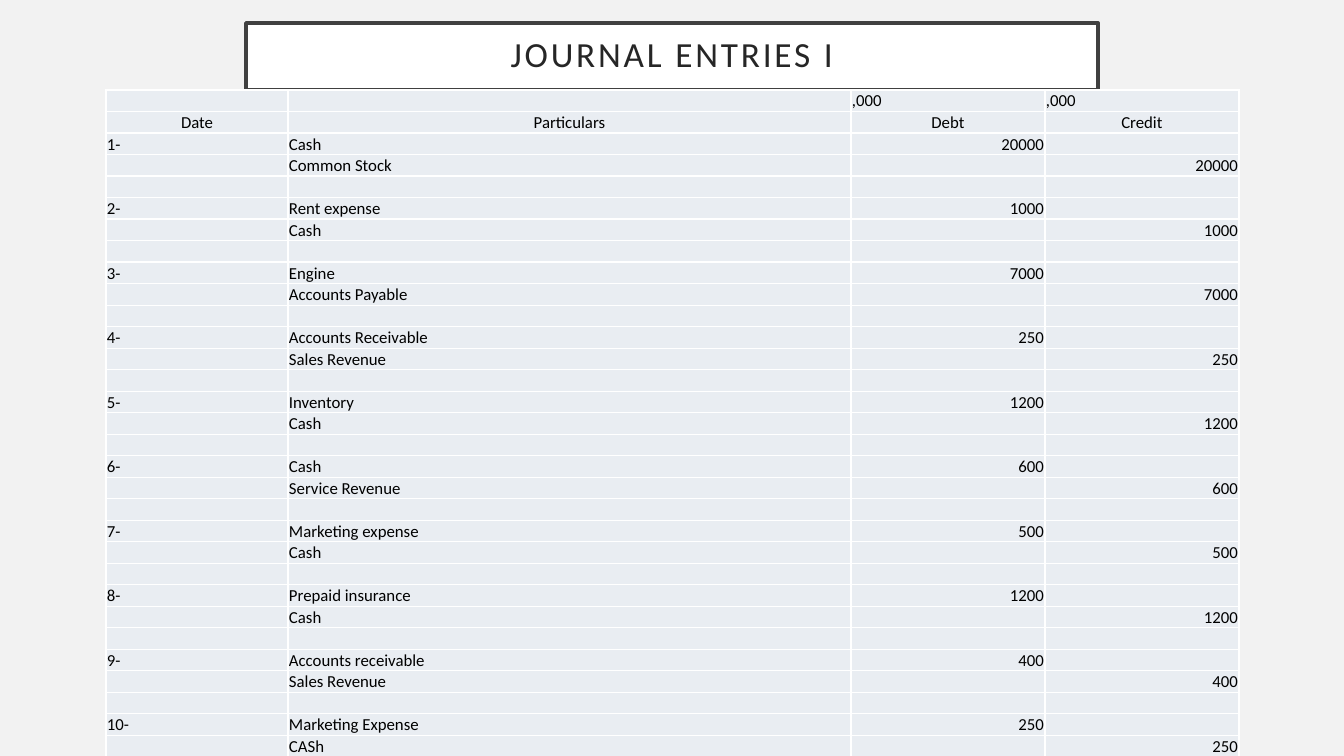
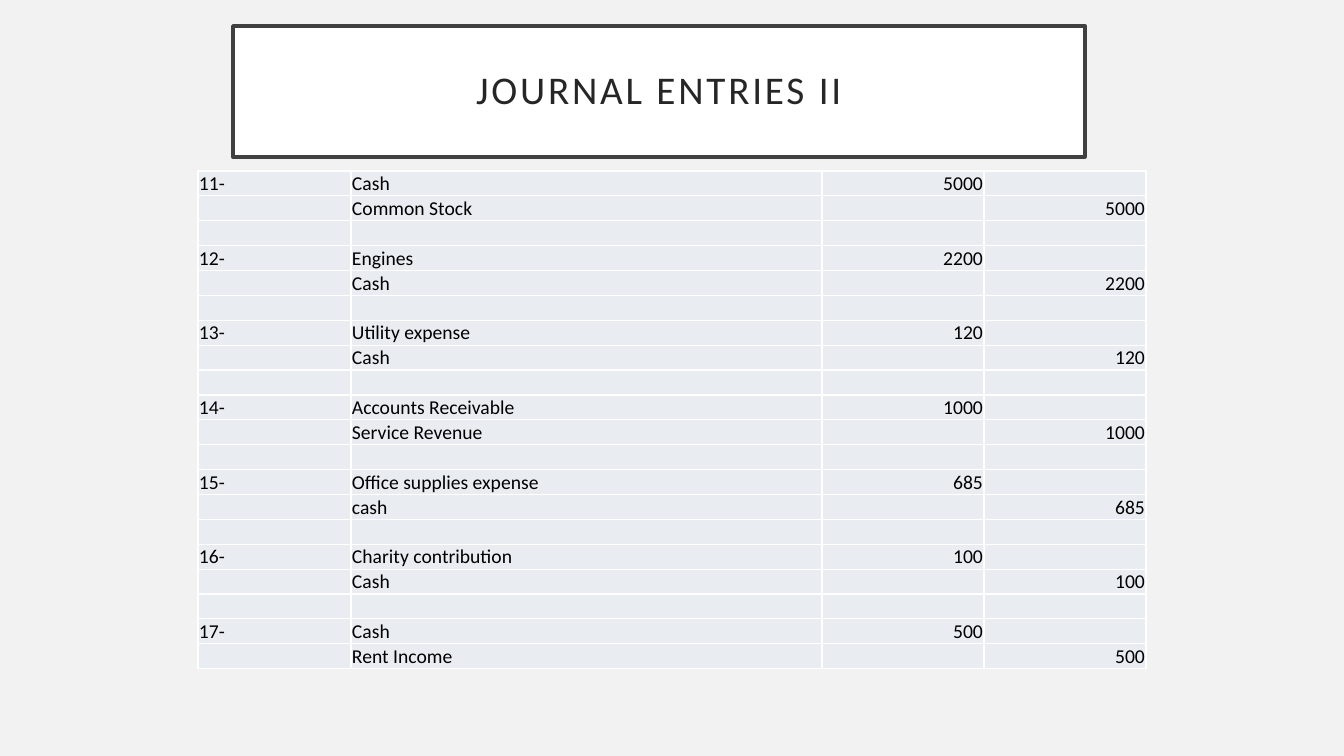
"""Build two slides of journal entries, each a boxed title over a ledger table."""
from lxml import etree
from pptx import Presentation
from pptx.dml.color import RGBColor
from pptx.enum.shapes import MSO_SHAPE
from pptx.enum.text import MSO_ANCHOR, PP_ALIGN
from pptx.oxml.ns import qn
from pptx.util import Emu, Pt

RECT = MSO_SHAPE.RECTANGLE
MIDDLE, BOTTOM = MSO_ANCHOR.MIDDLE, MSO_ANCHOR.BOTTOM
LEFT, CENTER, RIGHT = PP_ALIGN.LEFT, PP_ALIGN.CENTER, PP_ALIGN.RIGHT

BACK = RGBColor(0xF2, 0xF2, 0xF2)
WHITE = RGBColor(0xFF, 0xFF, 0xFF)
FRAME = RGBColor(0x40, 0x40, 0x40)
INK = RGBColor(0x26, 0x26, 0x26)
BLACK = RGBColor(0, 0, 0)
CELL = RGBColor(0xE9, 0xED, 0xF2)
FONT = "Calibri"
WIDE, HIGH = 1344, 756
ALIGNS = (LEFT, LEFT, RIGHT, RIGHT)

HEADS = [
    (("", "", ",000", ",000"), (LEFT,) * 4, BOTTOM),
    (("Date", "Particulars", "Debt", "Credit"), (CENTER,) * 4, MIDDLE),
]
FIRST = [
    ("Cash", "Common Stock", 20000),
    ("Rent expense", "Cash", 1000),
    ("Engine", "Accounts Payable", 7000),
    ("Accounts Receivable", "Sales Revenue", 250),
    ("Inventory", "Cash", 1200),
    ("Cash", "Service Revenue", 600),
    ("Marketing expense", "Cash", 500),
    ("Prepaid insurance", "Cash", 1200),
    ("Accounts receivable", "Sales Revenue", 400),
    ("Marketing Expense", "CASh", 250),
]
SECOND = [
    ("Cash", "Common Stock", 5000),
    ("Engines", "Cash", 2200),
    ("Utility expense", "Cash", 120),
    ("Accounts Receivable", "Service Revenue", 1000),
    ("Office supplies expense", "cash", 685),
    ("Charity contribution", "Cash", 100),
    ("Cash", "Rent Income", 500),
]


def px(n):
    """Turn pixels into EMU."""
    return Emu(round(n * 12192000 / WIDE))


def write(frame, text, size, color=BLACK, align=LEFT, space=0, line=None):
    """Put one formatted paragraph into a text frame."""
    para = frame.paragraphs[0]
    para.alignment = align
    if line:
        para.line_spacing = line
    if not text:
        para._p.get_or_add_endParaRPr().set("sz", str(size * 100))
        return
    run = para.add_run()
    run.text = text
    run.font.name, run.font.size = FONT, Pt(size)
    run.font.color.rgb = color
    if space:
        run._r.get_or_add_rPr().set("spc", str(space * 100))


def add_title(slide, text, box, size):
    """Draw the framed title box."""
    shape = slide.shapes.add_shape(RECT, *map(px, box))
    shape.shadow.inherit = False
    shape.fill.solid()
    shape.fill.fore_color.rgb = WHITE
    shape.line.color.rgb = FRAME
    shape.line.width = Pt(2.5)
    frame = shape.text_frame
    frame.word_wrap = True
    frame.vertical_anchor = MIDDLE
    frame.margin_left = frame.margin_right = px(20)
    frame.margin_top = frame.margin_bottom = px(20)
    write(frame, text, size, color=INK, align=CENTER, space=2, line=0.9)


def add_edges(cell):
    """Give a cell thin white borders."""
    props = cell._tc.get_or_add_tcPr()
    for side in ("lnL", "lnR", "lnT", "lnB"):
        edge = etree.SubElement(props, qn("a:" + side), w=str(Pt(1)))
        fill = etree.SubElement(edge, qn("a:solidFill"))
        etree.SubElement(fill, qn("a:srgbClr"), val=str(WHITE))


def fill_cell(cell, text, size, align, anchor):
    """Style one table cell and write its text."""
    add_edges(cell)
    cell.fill.solid()
    cell.fill.fore_color.rgb = CELL
    cell.vertical_anchor = anchor
    cell.margin_left = cell.margin_right = cell.margin_top = px(1)
    cell.margin_bottom = 0
    write(cell.text_frame, text, size, align=align)


def list_rows(entries, start):
    """Lay entries out as debit and credit rows with a gap row between."""
    rows = []
    for num, (debit, credit, sum_) in enumerate(entries, start):
        if rows:
            rows.append(("",) * 4)
        rows.append((f"{num}-", debit, str(sum_), ""))
        rows.append(("", credit, "", str(sum_)))
    return [(row, ALIGNS, BOTTOM) for row in rows]


def add_ledger(slide, rows, place, widths, high, size):
    """Add the ledger table with equal rows."""
    left, top = place
    table = slide.shapes.add_table(
        len(rows), len(widths), px(left), px(top), px(sum(widths)), px(high)
    ).table
    table.first_row = table.horz_banding = False
    for col, width in zip(table.columns, widths):
        col.width = px(width)
    for r, (texts, aligns, anchor) in enumerate(rows):
        for c, (text, align) in enumerate(zip(texts, aligns)):
            fill_cell(table.cell(r, c), text, size, align, anchor)


def add_page(deck):
    """Add a blank slide with the shared background."""
    slide = deck.slides.add_slide(deck.slide_layouts[6])
    slide.background.fill.solid()
    slide.background.fill.fore_color.rgb = BACK
    return slide


def main():
    """Build and save the deck."""
    deck = Presentation()
    deck.slide_width, deck.slide_height = px(WIDE), px(HIGH)

    slide = add_page(deck)
    add_title(slide, "JOURNAL ENTRIES I", (246, 23, 852, 67), 25.2)
    add_ledger(slide, HEADS + list_rows(FIRST, 1), (106, 90),
               (182, 563, 194, 194), 652, 12)

    slide = add_page(deck)
    add_title(slide, "JOURNAL ENTRIES II", (233, 26, 852, 131), 28)
    add_ledger(slide, list_rows(SECOND, 11), (198, 171),
               (153, 471, 162, 162), 494, 14)

    deck.save("out.pptx")


if __name__ == "__main__":
    main()
